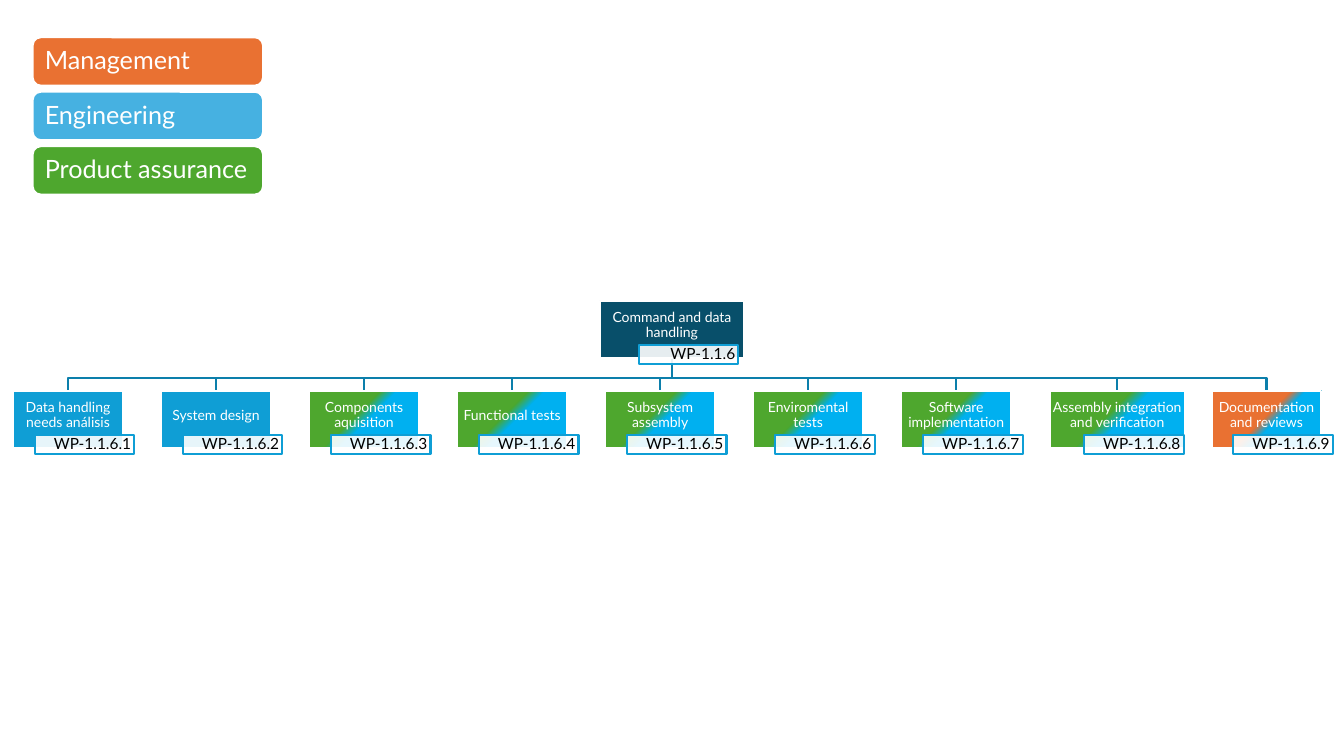
from lxml import etree
from pptx import Presentation
from pptx.dml.color import RGBColor
from pptx.enum.shapes import MSO_SHAPE
from pptx.enum.text import MSO_ANCHOR, PP_ALIGN
from pptx.oxml.ns import qn
from pptx.util import Pt

WHITE = RGBColor(0xFF, 0xFF, 0xFF)
BLACK = RGBColor(0x00, 0x00, 0x00)
NAVY = RGBColor(0x08, 0x4F, 0x6A)
LINK = RGBColor(0x0C, 0x7F, 0xAB)
BLUE = RGBColor(0x0F, 0x9E, 0xD5)
CYAN = RGBColor(0x00, 0xB0, 0xF0)
SKY = RGBColor(0x46, 0xB1, 0xE1)
GREEN = RGBColor(0x4E, 0xA7, 0x2E)
ORANGE = RGBColor(0xE9, 0x71, 0x32)

# Content: a fill is one colour, or (from, to, start %, end %)
LEGEND = [("Management", ORANGE), ("Engineering", SKY), ("Product assurance", GREEN)]
ROOT = ("Command and data handling", "WP-1.1.6")
GREEN_CYAN = (GREEN, CYAN, 43, 53)
ORANGE_CYAN = (ORANGE, CYAN, 48, 57)
PACKAGES = [
    ("Data handling needs análisis", BLUE, 78.3),
    ("System design", BLUE, 78.3),
    ("Components aquisition", GREEN_CYAN, 78.3),
    ("Functional tests", GREEN_CYAN, 78.3),
    ("Subsystem assembly", GREEN_CYAN, 78.3),
    ("Enviromental tests", GREEN_CYAN, 78.3),
    ("Software implementation", GREEN_CYAN, 78.3),
    ("Assembly integration and verification", GREEN_CYAN, 96.7),
    ("Documentation and reviews", ORANGE_CYAN, 78.3),
]

# Layout in points
LEGEND_X, LEGEND_Y, LEGEND_W, LEGEND_H, LEGEND_STEP = 23.3, 26.6, 164.6, 34.6, 38.9
ROOT_CX, ROOT_Y, ROOT_W = 480, 215, 103.4
BOX_H = 40.6
ROW_X, ROW_Y, ROW_GAP = 9.4, 279.2, 19.15
BUS_Y = 269.8
TAG_W, TAG_H, TAG_DX, TAG_DY = 71.3, 13.6, 11.8, 31.6

prs = Presentation()
prs.slide_width, prs.slide_height = Pt(960), Pt(540)
s = prs.slides.add_slide(prs.slide_layouts[6])


def add_box(kind, x, y, w, h, fill, line, label, size, color, align, insets):
    sp = s.shapes.add_shape(kind, Pt(x), Pt(y), Pt(w), Pt(h))
    sp.shadow.inherit = False
    if isinstance(fill, RGBColor):
        sp.fill.solid()
        sp.fill.fore_color.rgb = fill
    else:
        sp.fill.gradient()
        sp.fill.gradient_angle = 315
        for stop, rgb, pos in zip(sp.fill.gradient_stops, fill[:2], fill[2:]):
            stop.color.rgb = rgb
            stop.position = pos / 100
    sp.line.color.rgb = line
    sp.line.width = Pt(1.5)
    tf = sp.text_frame
    tf.word_wrap = True
    tf.vertical_anchor = MSO_ANCHOR.MIDDLE
    tf.margin_left, tf.margin_top, tf.margin_right, tf.margin_bottom = map(Pt, insets)
    p = tf.paragraphs[0]
    p.alignment = align
    p.line_spacing = 0.9
    r = p.add_run()
    r.text = label
    r.font.name, r.font.size = "Lato", Pt(size)
    r.font.color.rgb = color
    return sp


def add_package(cx, y, w, fill, label, code):
    add_box(MSO_SHAPE.RECTANGLE, cx - w / 2, y, w, BOX_H, fill, WHITE,
            label, 10, WHITE, PP_ALIGN.CENTER, (0.5, 0.5, 0.5, 5.75))
    tag = add_box(MSO_SHAPE.RECTANGLE, cx + TAG_DX - TAG_W / 2, y + TAG_DY, TAG_W, TAG_H,
                  WHITE, BLUE, code, 11, BLACK, PP_ALIGN.RIGHT, (2.2, 0.6, 2.2, 0.6))
    # 90 % opaque
    rgb = tag.element.spPr.find(qn("a:solidFill")).find(qn("a:srgbClr"))
    etree.SubElement(rgb, qn("a:alpha"), val="90000")


# Each package takes the width of its box plus any overhanging tag
centres = []
x = ROW_X
for _, _, w in PACKAGES:
    centres.append(x + w / 2)
    x += max(w, w / 2 + TAG_DX + TAG_W / 2) + ROW_GAP

# Branches from the root
for cx in centres:
    path = s.shapes.build_freeform(Pt(ROOT_CX), Pt(ROOT_Y + BOX_H))
    path.add_line_segments([(Pt(ROOT_CX), Pt(BUS_Y)), (Pt(cx), Pt(BUS_Y)),
                            (Pt(cx), Pt(ROW_Y))], close=False)
    sp = path.convert_to_shape()
    sp.shadow.inherit = False
    sp.fill.background()
    sp.line.color.rgb = LINK
    sp.line.width = Pt(1.5)

# Root and work packages
add_package(ROOT_CX, ROOT_Y, ROOT_W, NAVY, *ROOT)
for i, (cx, (label, fill, w)) in enumerate(zip(centres, PACKAGES), 1):
    add_package(cx, ROW_Y, w, fill, label, f"{ROOT[1]}.{i}")

# Legend
for i, (label, fill) in enumerate(LEGEND):
    add_box(MSO_SHAPE.ROUNDED_RECTANGLE, LEGEND_X, LEGEND_Y + i * LEGEND_STEP, LEGEND_W,
            LEGEND_H, fill, WHITE, label, 18, WHITE, PP_ALIGN.LEFT, (7, 5, 7, 5))

prs.save("out.pptx")
